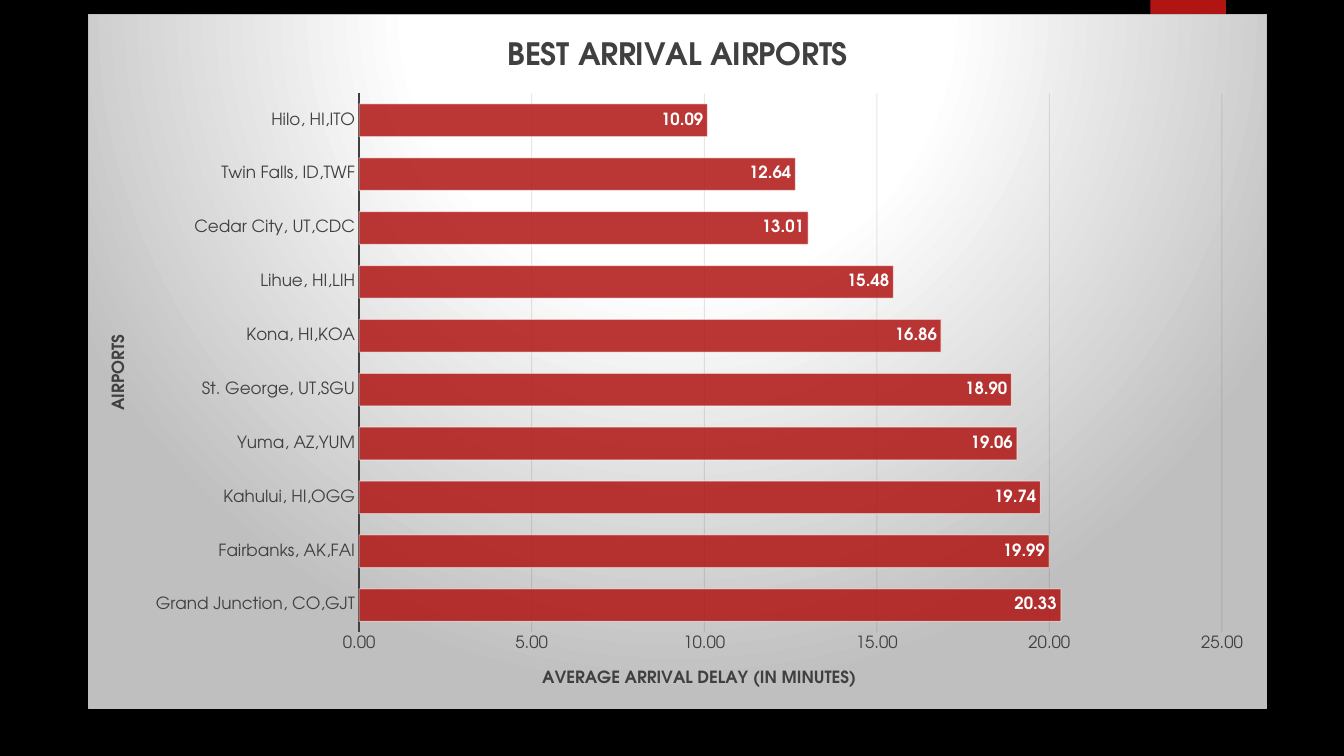
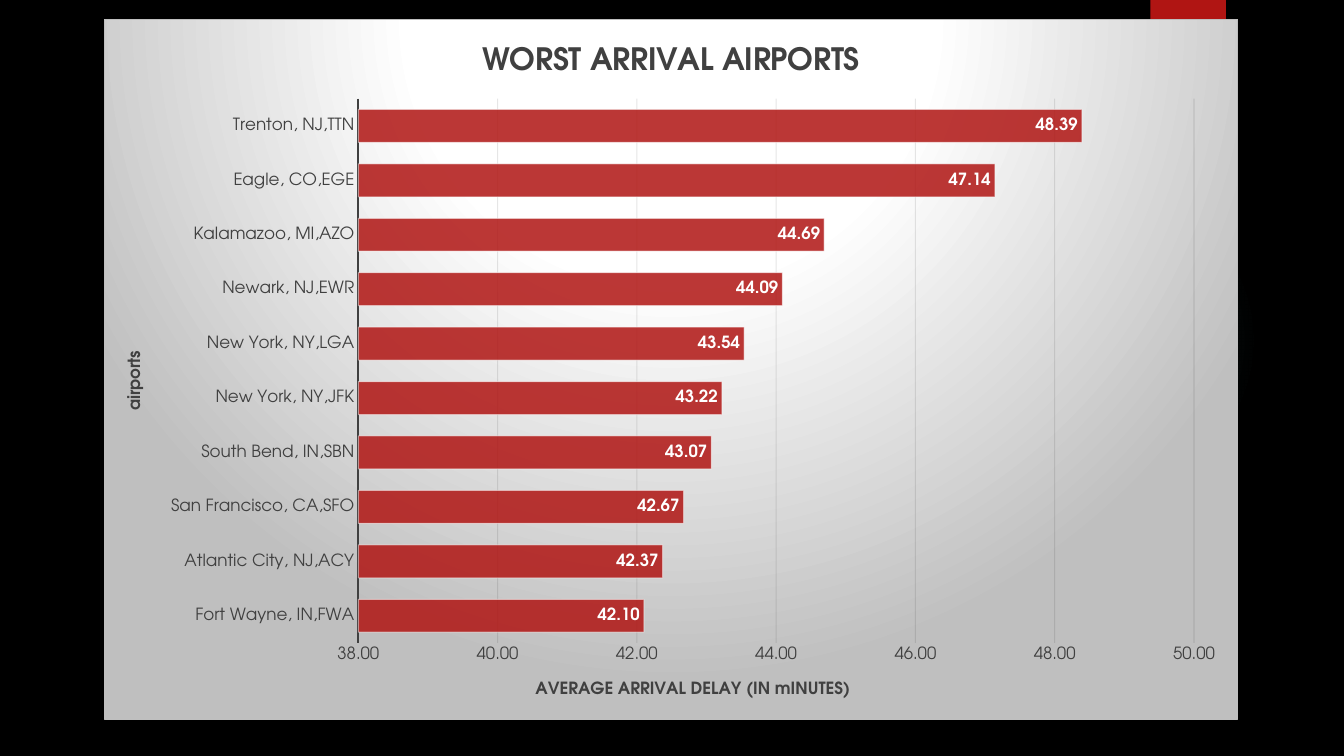
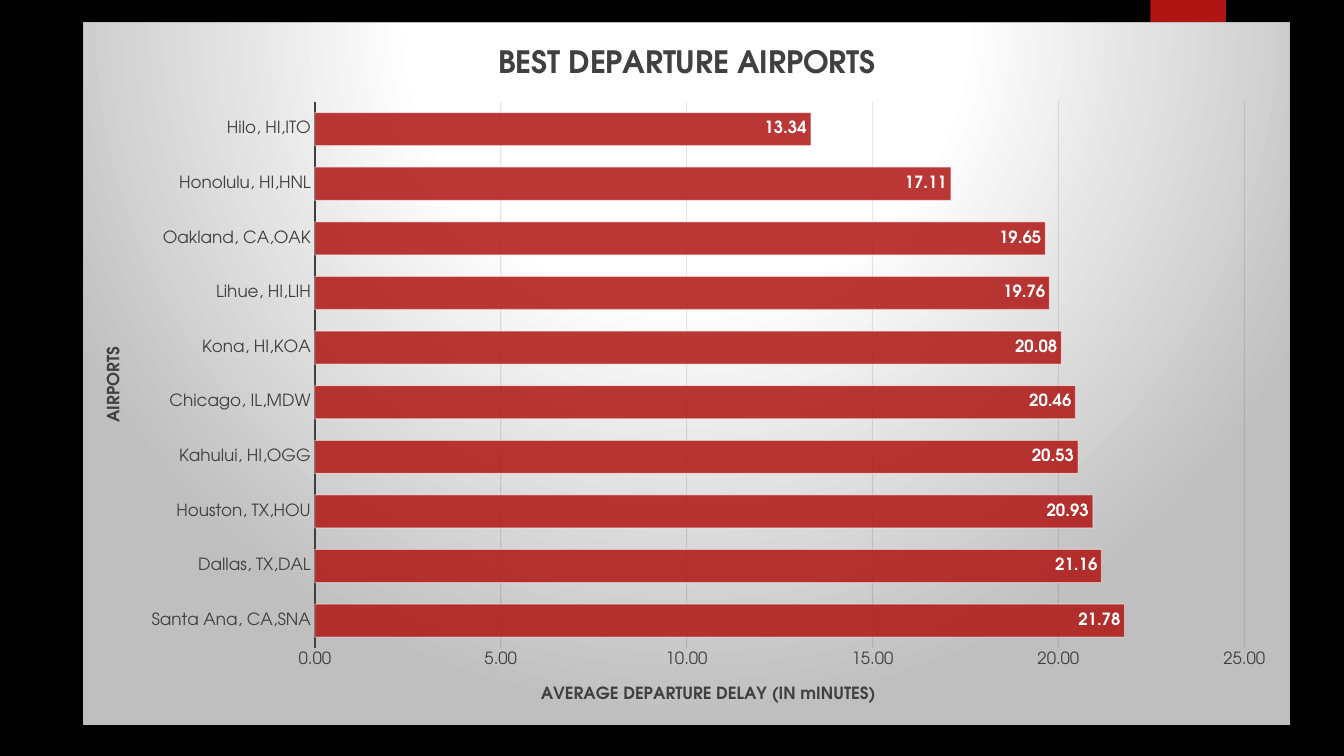
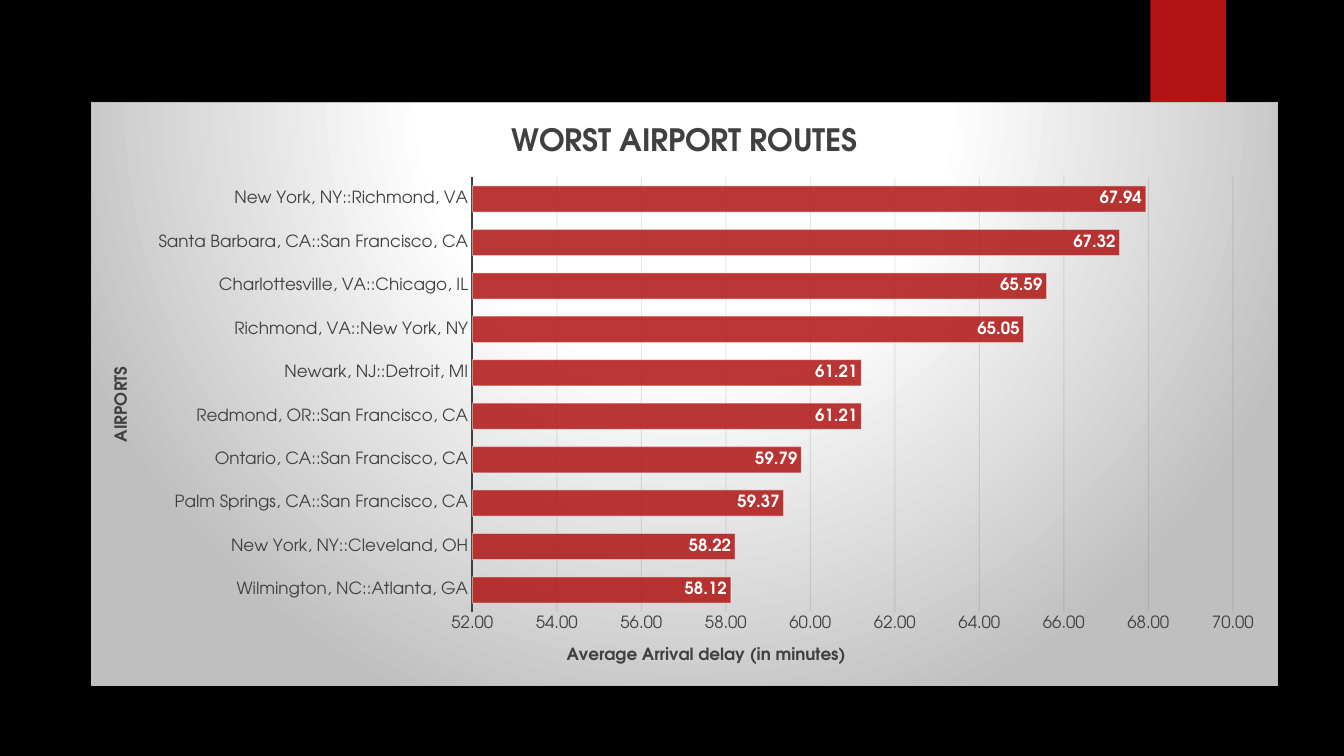
import dataclasses

import pptx
import pptx.chart.data
import pptx.dml.color
import pptx.enum.chart
import pptx.enum.shapes
import pptx.oxml
import pptx.oxml.ns
import pptx.util


@dataclasses.dataclass(frozen=True)
class Theme:
    font: str = "TeX Gyre Adventor"
    back: str = "000000"
    red: str = "B01513"
    glow: str = "50B9C1"
    white: str = "FFFFFF"
    silver: str = "BFBFBF"
    ink: str = "404040"
    grid: str = "0D0D0D"
    title: int = 22
    label: int = 12


T = Theme()
RGB = pptx.dml.color.RGBColor.from_string
Pt = pptx.util.Pt
NS = pptx.oxml.ns.nsdecls("a", "c")


def radial(stops, rect):
    """Circular gradient: stops are (position, colour, opacity) in percent."""
    gs = "".join(
        f'<a:gs pos="{pos * 1000}"><a:srgbClr val="{color}">'
        f'<a:alpha val="{opacity * 1000}"/></a:srgbClr></a:gs>'
        for pos, color, opacity in stops)
    sides = " ".join(f'{side}="{pct * 1000}"' for side, pct in zip("ltrb", rect))
    return pptx.oxml.parse_xml(
        f'<a:gradFill {NS} rotWithShape="1"><a:gsLst>{gs}</a:gsLst>'
        f'<a:path path="circle"><a:fillToRect {sides}/></a:path></a:gradFill>')


def paint(fill, color, opacity=100):
    fill.solid()
    fill.fore_color.rgb = RGB(color)
    if opacity < 100:
        clr = fill._xPr.find(".//" + pptx.oxml.ns.qn("a:srgbClr"))
        clr.append(pptx.oxml.parse_xml(f'<a:alpha {NS} val="{opacity * 1000}"/>'))


# Slide content: place on the grid, titles, axis range and step, bars from bottom to top
charts = [
    dict(at=(10.48, 1.67, 140.36, 82.7), title="BEST ARRIVAL AIRPORTS",
         cat="AIRPORTS", val="AVERAGE ARRIVAL DELAY (IN MINUTES)", scale=(0, 25, 5),
         bars=[("Grand Junction, CO,GJT", 20.33), ("Fairbanks, AK,FAI", 19.99),
               ("Kahului, HI,OGG", 19.74), ("Yuma, AZ,YUM", 19.06),
               ("St. George, UT,SGU", 18.9), ("Kona, HI,KOA", 16.86),
               ("Lihue, HI,LIH", 15.48), ("Cedar City, UT,CDC", 13.01),
               ("Twin Falls, ID,TWF", 12.64), ("Hilo, HI,ITO", 10.09)]),
    dict(at=(12.4, 2.28, 135, 83.4), title="WORST ARRIVAL AIRPORTS",
         cat="airports", val="AVERAGE ARRIVAL DELAY (IN mINUTES)", scale=(38, 50, 2),
         bars=[("Fort Wayne, IN,FWA", 42.1), ("Atlantic City, NJ,ACY", 42.37),
               ("San Francisco, CA,SFO", 42.67), ("South Bend, IN,SBN", 43.07),
               ("New York, NY,JFK", 43.22), ("New York, NY,LGA", 43.54),
               ("Newark, NJ,EWR", 44.09), ("Kalamazoo, MI,AZO", 44.69),
               ("Eagle, CO,EGE", 47.14), ("Trenton, NJ,TTN", 48.39)]),
    dict(at=(9.92, 2.64, 143.64, 83.64), title="BEST DEPARTURE AIRPORTS",
         cat="AIRPORTS", val="AVERAGE DEPARTURE DELAY (IN mINUTES)", scale=(0, 25, 5),
         bars=[("Santa Ana, CA,SNA", 21.78), ("Dallas, TX,DAL", 21.16),
               ("Houston, TX,HOU", 20.93), ("Kahului, HI,OGG", 20.53),
               ("Chicago, IL,MDW", 20.46), ("Kona, HI,KOA", 20.08),
               ("Lihue, HI,LIH", 19.76), ("Oakland, CA,OAK", 19.65),
               ("Honolulu, HI,HNL", 17.11), ("Hilo, HI,ITO", 13.34)]),
    dict(at=(10.8, 12.2, 141.36, 69.48), title="WORST AIRPORT ROUTES",
         cat="AIRPORTS", val="Average Arrival delay (in minutes)", scale=(52, 70, 2),
         bars=[("Wilmington, NC::Atlanta, GA", 58.12),
               ("New York, NY::Cleveland, OH", 58.22),
               ("Palm Springs, CA::San Francisco, CA", 59.37),
               ("Ontario, CA::San Francisco, CA", 59.79),
               ("Redmond, OR::San Francisco, CA", 61.21),
               ("Newark, NJ::Detroit, MI", 61.21),
               ("Richmond, VA::New York, NY", 65.05),
               ("Charlottesville, VA::Chicago, IL", 65.59),
               ("Santa Barbara, CA::San Francisco, CA", 67.32),
               ("New York, NY::Richmond, VA", 67.94)]),
]

# Presentation, with a grid of 160 columns by 90 rows
prs = pptx.Presentation()
prs.slide_width = pptx.util.Inches(13.33)
prs.slide_height = pptx.util.Inches(7.5)
col, row = prs.slide_width / 160, prs.slide_height / 90
paint(prs.slide_master.background.fill, T.back)

for item in charts:
    s = prs.slides.add_slide(prs.slide_layouts[6])

    # Faint glow and red ribbon behind the chart
    decor = []
    for kind, x, y, w, h in [("OVAL", 112.95, 22, 37, 37), ("RECTANGLE", 136.95, 0, 9, 15)]:
        sp = s.shapes.add_shape(pptx.enum.shapes.MSO_SHAPE[kind], int(x * col),
                                int(y * row), int(w * col), int(h * row))
        sp.line.fill.background()
        sp.shadow.inherit = False
        decor.append(sp)
    glow, ribbon = decor
    glow._element.spPr.find(pptx.oxml.ns.qn("a:prstGeom")).addnext(
        radial([(0, T.glow, 7), (36, T.glow, 6), (69, T.glow, 0)], (50, 50, 50, 50)))
    paint(ribbon.fill, T.red)
    ribbon._element.spPr.find(pptx.oxml.ns.qn("a:effectLst")).append(pptx.oxml.parse_xml(
        f'<a:outerShdw {NS} blurRad="{Pt(3)}" dist="{Pt(2)}" dir="5400000">'
        f'<a:srgbClr val="{T.back}"><a:alpha val="45000"/></a:srgbClr></a:outerShdw>'))

    # Chart and its background
    data = pptx.chart.data.CategoryChartData(number_format="0.00")
    data.categories = [name for name, _ in item["bars"]]
    data.add_series("Series 1", [value for _, value in item["bars"]])
    x, y, w, h = item["at"]
    chart = s.shapes.add_chart(pptx.enum.chart.XL_CHART_TYPE.BAR_CLUSTERED, int(x * col),
                               int(y * row), int(w * col), int(h * row), data).chart
    chart.has_legend = False
    chart.font.name = T.font
    chart.font.size = Pt(T.label)
    panel = pptx.oxml.parse_xml(
        f'<c:spPr {NS}><a:ln w="{Pt(0.75)}"><a:solidFill><a:srgbClr val="{T.silver}"/>'
        f'</a:solidFill></a:ln></c:spPr>')
    panel.insert(0, radial([(0, T.white, 100), (39, T.white, 100), (100, T.silver, 100)],
                           (50, -80, 50, 180)))
    chart._chartSpace.chart.addnext(panel)

    # Chart title and axis titles
    cat, val = chart.category_axis, chart.value_axis
    for owner, text, size in [(chart, item["title"], T.title),
                              (cat, item["cat"], T.label), (val, item["val"], T.label)]:
        title = owner.chart_title if owner is chart else owner.axis_title
        p = title.text_frame.paragraphs[0]
        p.text = text
        f = p.runs[0].font
        f.name, f.size, f.bold = T.font, Pt(size), True
        f.color.rgb = RGB(T.ink)

    # Axes
    for axis in (cat, val):
        axis.major_tick_mark = axis.minor_tick_mark = pptx.enum.chart.XL_TICK_MARK.NONE
        f = axis.tick_labels.font
        f.name, f.size, f.bold = T.font, Pt(T.label), False
        f.color.rgb = RGB(T.ink)
    cat.format.line.width = Pt(1.5)
    paint(cat.format.line.fill, T.ink)
    val.minimum_scale, val.maximum_scale, val.major_unit = item["scale"]
    val.tick_labels.number_format = "0.00"
    val.tick_labels.number_format_is_linked = False
    val.format.line.fill.background()
    grid = val.major_gridlines.format.line
    grid.width = Pt(0.75)
    paint(grid.fill, T.grid, 10)

    # Bars and value labels
    plot = chart.plots[0]
    plot.gap_width = 65
    plot.vary_by_categories = False
    bars = plot.series[0]
    paint(bars.format.fill, T.red, 85)
    bars.format.line.width = Pt(0.75)
    paint(bars.format.line.fill, T.white, 50)
    labels = bars.data_labels
    labels.show_value = True
    labels.position = pptx.enum.chart.XL_LABEL_POSITION.INSIDE_END
    labels.number_format = "0.00"
    labels.number_format_is_linked = False
    f = labels.font
    f.name, f.size, f.bold = T.font, Pt(T.label), True
    f.color.rgb = RGB(T.white)

prs.save("out.pptx")
